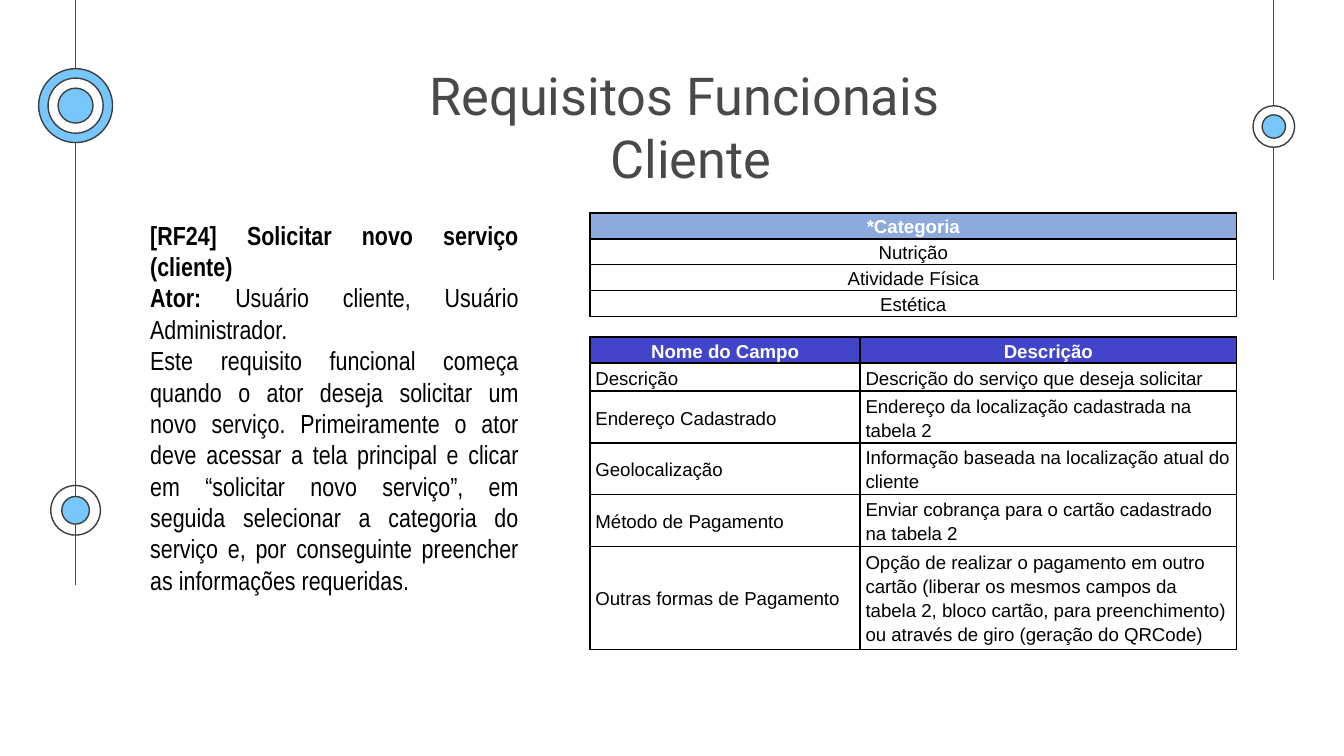
import pptx
import pptx.dml.color
import pptx.enum.shapes
import pptx.enum.text
import pptx.oxml
import pptx.oxml.ns
import pptx.util

Pt = pptx.util.Pt
ALIGN = pptx.enum.text.PP_ALIGN
ANCHOR = pptx.enum.text.MSO_ANCHOR

INK, GREY, BLACK, WHITE = "3D3D3D", "494949", "000000", "FFFFFF"
SKY, CATEGORY_BLUE, HEADER_BLUE = "77C6FC", "8EA9DB", "4245CA"

CATEGORIES = ["*Categoria", "Nutrição", "Atividade Física", "Estética"]
FIELDS = [
    ("Nome do Campo", "Descrição"),
    ("Descrição", "Descrição do serviço que deseja solicitar"),
    ("Endereço Cadastrado", "Endereço da localização cadastrada na tabela 2"),
    ("Geolocalização", "Informação baseada na localização atual do cliente"),
    ("Método de Pagamento", "Enviar cobrança para o cartão cadastrado na tabela 2"),
    ("Outras formas de Pagamento",
     "Opção de realizar o pagamento em outro cartão (liberar os mesmos campos da "
     "tabela 2, bloco cartão, para preenchimento) ou através de giro (geração do QRCode)"),
]
GAP_ROW = len(CATEGORIES)
COLUMN_WIDTHS = [144.7, 201.6]
ROW_HEIGHTS = [13.9] * 4 + [11, 13.6, 15.2] + [27.7] * 3 + [55.2]

# Each body paragraph is a list of (text, bold) runs
BODY = [
    [("[RF24] Solicitar novo serviço (cliente)", True)],
    [("Ator: ", True), ("Usuário cliente, Usuário Administrador.", False)],
    [("Este requisito funcional começa quando o ator deseja solicitar um novo "
      "serviço. Primeiramente o ator deve acessar a tela principal e clicar em "
      "“solicitar novo serviço”, em seguida selecionar a categoria do serviço e, "
      "por conseguinte preencher as informações requeridas.", False)],
]


def rgb(color):
    return pptx.dml.color.RGBColor.from_string(color)


def add_run(p, text, font, size, color, bold=False):
    r = p.add_run()
    r.text = text
    r.font.name = font
    r.font.size = Pt(size)
    r.font.bold = bold
    r.font.color.rgb = rgb(color)


def add_vertical_line(s, x, bottom):
    line = s.shapes.add_connector(
        pptx.enum.shapes.MSO_CONNECTOR.STRAIGHT, Pt(x), Pt(0), Pt(x), Pt(bottom))
    line.line.color.rgb = rgb(GREY)
    line.line.width = Pt(0.75)
    effects = pptx.oxml.parse_xml(f"<a:effectLst {pptx.oxml.ns.nsdecls('a')}/>")
    line._element.spPr.append(effects)


def add_rings(s, cx, cy, rings):
    """Draw concentric circles from (diameter, fill) pairs, largest first."""
    for d, fill in rings:
        sp = s.shapes.add_shape(pptx.enum.shapes.MSO_SHAPE.OVAL,
                                Pt(cx - d / 2), Pt(cy - d / 2), Pt(d), Pt(d))
        sp.shadow.inherit = False
        sp.line.color.rgb = rgb(INK)
        sp.line.width = Pt(0.75)
        if fill:
            sp.fill.solid()
            sp.fill.fore_color.rgb = rgb(fill)
        else:
            sp.fill.background()


def add_text_frame(s, left, top, width, height, inset_y):
    tf = s.shapes.add_textbox(Pt(left), Pt(top), Pt(width), Pt(height)).text_frame
    tf.word_wrap = True
    tf.vertical_anchor = ANCHOR.TOP
    tf.margin_left = tf.margin_right = Pt(7.2)
    tf.margin_top = tf.margin_bottom = Pt(inset_y)
    return tf


def add_title(s):
    p = add_text_frame(s, 220.3, 26.6, 299.5, 45.4, 7.2).paragraphs[0]
    p.alignment = ALIGN.CENTER
    add_run(p, "Requisitos Funcionais ", "Roboto", 28, GREY)
    p.add_line_break()
    add_run(p, "Cliente", "Roboto", 28, GREY)


def add_body(s):
    tf = add_text_frame(s, 73.4, 113.8, 211.7, 244.8, 3.6)
    for i, runs in enumerate(BODY):
        p = tf.add_paragraph() if i else tf.paragraphs[0]
        p.alignment = ALIGN.JUSTIFY
        for text, bold in runs:
            add_run(p, text, "Arial Narrow", 14, BLACK, bold)


def set_borders(cell, visible):
    """Draw the sides named in visible (from LRTB) and hide the others."""
    for side in "LRTB":
        paint = (f'<a:solidFill><a:srgbClr val="{BLACK}"/></a:solidFill>'
                 if side in visible else "<a:noFill/>")
        cell._tc.get_or_add_tcPr().append(pptx.oxml.parse_xml(
            f"<a:ln{side} {pptx.oxml.ns.nsdecls('a')} w=\"{Pt(1)}\">{paint}</a:ln{side}>"))


def format_cell(cell, fill=None, borders="LRTB", anchor=ANCHOR.MIDDLE):
    cell.margin_left = cell.margin_right = Pt(2.9)
    cell.margin_top = cell.margin_bottom = Pt(0)
    cell.vertical_anchor = anchor
    set_borders(cell, borders)
    if fill:
        cell.fill.solid()
        cell.fill.fore_color.rgb = rgb(fill)
    else:
        cell.fill.background()


def write_cell(cell, text, header, align):
    p = cell.text_frame.paragraphs[0]
    p.alignment = align
    p.line_spacing = 1.15
    add_run(p, text, "Arial", 10, WHITE if header else BLACK, header)


def add_table(s):
    table = s.shapes.add_table(len(ROW_HEIGHTS), 2, Pt(316.1), Pt(114),
                               Pt(sum(COLUMN_WIDTHS)), Pt(sum(ROW_HEIGHTS))).table
    table.first_row = table.horz_banding = False
    for column, width in zip(table.columns, COLUMN_WIDTHS):
        column.width = Pt(width)
    for row, height in zip(table.rows, ROW_HEIGHTS):
        row.height = Pt(height)

    # Category list across both columns
    for i, text in enumerate(CATEGORIES):
        header = i == 0
        for j in range(2):
            format_cell(table.cell(i, j), CATEGORY_BLUE if header else None)
        table.cell(i, 0).merge(table.cell(i, 1))
        write_cell(table.cell(i, 0), text, header, ALIGN.CENTER)

    # Empty row between the two lists
    for j in range(2):
        cell = table.cell(GAP_ROW, j)
        format_cell(cell, borders="TB")
        cell.text_frame.paragraphs[0]._p.append(pptx.oxml.parse_xml(
            f"<a:endParaRPr {pptx.oxml.ns.nsdecls('a')} sz=\"800\"/>"))

    # Field descriptions
    for i, texts in enumerate(FIELDS):
        header = i == 0
        for j, text in enumerate(texts):
            cell = table.cell(GAP_ROW + 1 + i, j)
            format_cell(cell, HEADER_BLUE if header else None,
                        anchor=ANCHOR.BOTTOM if header else ANCHOR.MIDDLE)
            write_cell(cell, text, header, ALIGN.CENTER if header else ALIGN.LEFT)


def main():
    prs = pptx.Presentation()
    prs.slide_width, prs.slide_height = Pt(720), Pt(405)
    s = prs.slides.add_slide(prs.slide_layouts[6])

    # Side decorations
    left_x, right_x = 40.5, 682.4
    add_vertical_line(s, left_x, 313.2)
    add_vertical_line(s, right_x, 149.8)
    add_rings(s, left_x, 273.4, [(26.6, None), (14.8, SKY)])
    add_rings(s, right_x, 67.8, [(22.3, WHITE), (12.5, SKY)])
    add_rings(s, left_x, 56.6, [(39.6, SKY), (29.5, WHITE), (18.7, SKY)])

    # Content
    add_title(s)
    add_body(s)
    add_table(s)
    prs.save("out.pptx")


if __name__ == "__main__":
    main()
